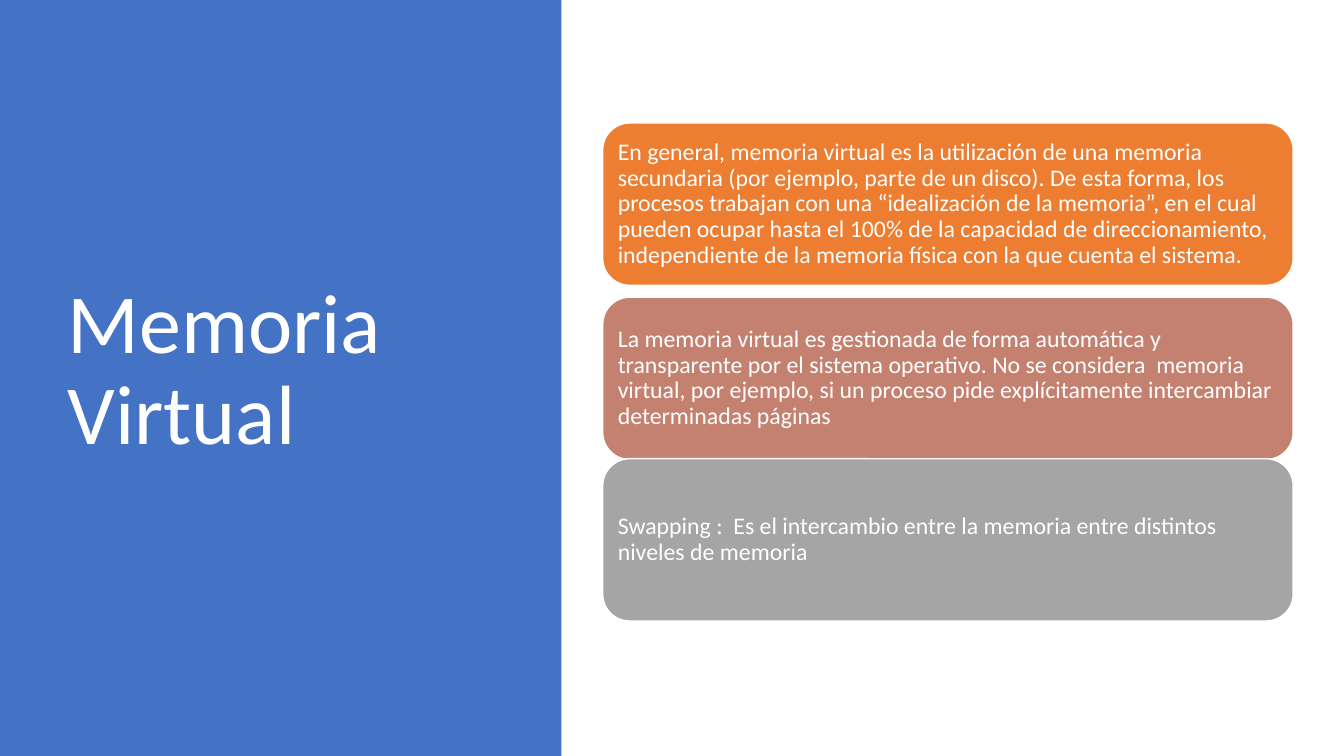
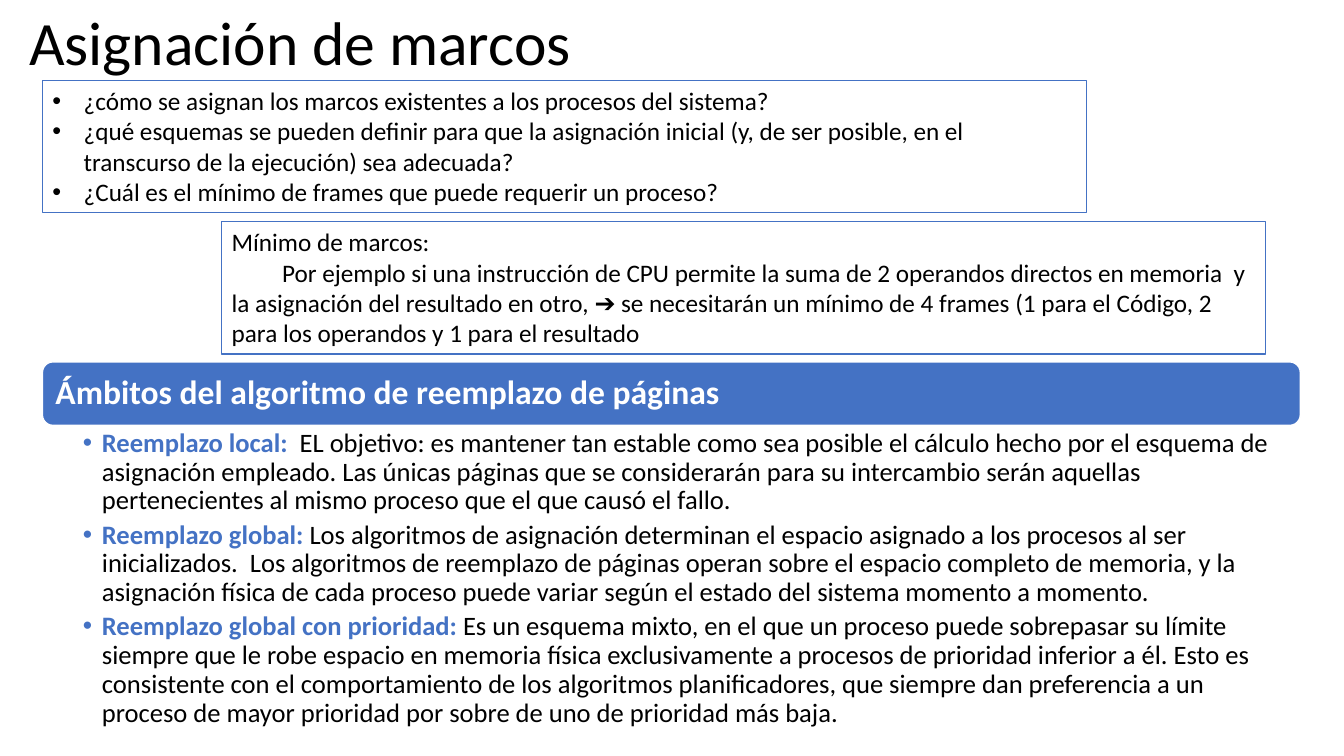
from dataclasses import dataclass
from typing import Optional

from lxml.etree import SubElement
from pptx import Presentation
from pptx.dml.color import RGBColor
from pptx.enum.shapes import MSO_SHAPE as Preset
from pptx.enum.text import MSO_ANCHOR as Anchor, MSO_AUTO_SIZE as AutoSize, PP_ALIGN as Align
from pptx.oxml.ns import qn
from pptx.util import Cm, Pt

BLUE = RGBColor(0x44, 0x72, 0xC4)
ORANGE = RGBColor(0xED, 0x7D, 0x31)
ROSE = RGBColor(0xC4, 0x81, 0x70)
GRAY = RGBColor(0xA5, 0xA5, 0xA5)
WHITE = RGBColor(0xFF, 0xFF, 0xFF)
BLACK = RGBColor(0, 0, 0)
FONT = "Calibri"
TITLE_ONLY = 5
WIDTH, HEIGHT = 33.87, 19.05
TIGHT = 0.9


@dataclass(frozen=True)
class Box:
    """Position and size in centimetres."""
    left: float
    top: float
    width: float
    height: float

    def lengths(self) -> tuple:
        """Return the four values as lengths."""
        return tuple(Cm(v) for v in (self.left, self.top, self.width, self.height))


@dataclass(frozen=True)
class Style:
    """Look of a run of text."""
    size: float
    color: RGBColor
    bold: bool = False


@dataclass(frozen=True)
class Card:
    """Coloured card with its top edge and text."""
    top: float
    fill: RGBColor
    text: str


@dataclass(frozen=True)
class Scope:
    """Replacement scope: its name and description."""
    name: str
    text: str


CARD_STYLE = Style(17, WHITE)
BOX_STYLE = Style(18, BLACK)
BANNER_STYLE = Style(24, WHITE, True)
SCOPE_NAME_STYLE = Style(19, BLUE, True)
SCOPE_TEXT_STYLE = Style(19, BLACK)

CARDS = (
    Card(3.1, ORANGE, "En general, memoria virtual es la utilización de una memoria secundaria (por ejemplo, parte de un disco). De esta forma, los procesos trabajan con una “idealización de la memoria”, en el cual pueden ocupar hasta el 100% de la capacidad de direccionamiento, independiente de la memoria física con la que cuenta el sistema."),
    Card(7.49, ROSE, "La memoria virtual es gestionada de forma automática y transparente por el sistema operativo. No se considera  memoria virtual, por ejemplo, si un proceso pide explícitamente intercambiar determinadas páginas"),
    Card(11.56, GRAY, "Swapping :  Es el intercambio entre la memoria entre distintos niveles de memoria"),
)
QUESTIONS = (
    "¿cómo se asignan los marcos existentes a los procesos del sistema?",
    "¿qué esquemas se pueden definir para que la asignación inicial (y, de ser posible, en el transcurso de la ejecución) sea adecuada?",
    "¿Cuál es el mínimo de frames que puede requerir un proceso?",
)
MINIMUM_HEAD = "Mínimo de marcos:"
MINIMUM_TEXT = "\tPor ejemplo si una instrucción de CPU permite la suma de 2 operandos directos en memoria  y la asignación del resultado en otro, ➔ se necesitarán un mínimo de 4 frames (1 para el Código, 2 para los operandos y 1 para el resultado"
SCOPES = (
    Scope("Reemplazo local:  ", "EL objetivo: es mantener tan estable como sea posible el cálculo hecho por el esquema de asignación empleado. Las únicas páginas que se considerarán para su intercambio serán aquellas pertenecientes al mismo proceso que el que causó el fallo."),
    Scope("Reemplazo global: ", "Los algoritmos de asignación determinan el espacio asignado a los procesos al ser inicializados.  Los algoritmos de reemplazo de páginas operan sobre el espacio completo de memoria, y la asignación física de cada proceso puede variar según el estado del sistema momento a momento."),
    Scope("Reemplazo global con prioridad: ", "Es un esquema mixto, en el que un proceso puede sobrepasar su límite siempre que le robe espacio en memoria física exclusivamente a procesos de prioridad inferior a él. Esto es consistente con el comportamiento de los algoritmos planificadores, que siempre dan preferencia a un proceso de mayor prioridad por sobre de uno de prioridad más baja."),
)


def add_run(p, text: str, style: Style) -> None:
    """Add one formatted run to a paragraph."""
    r = p.add_run()
    r.text = text
    r.font.name = FONT
    r.font.size = Pt(style.size)
    r.font.bold = style.bold
    r.font.color.rgb = style.color


def add_paragraph(tf, index: int, spacing: float = 1.0, after: float = 0):
    """Return the left-aligned paragraph at an index, adding it after the first."""
    p = tf.add_paragraph() if index else tf.paragraphs[0]
    p.alignment = Align.LEFT
    p.line_spacing = spacing
    p.space_after = Pt(after)
    return p


def add_bullet(p, indent: float) -> None:
    """Give a paragraph a hanging bullet."""
    pPr = p._p.get_or_add_pPr()
    pPr.set("marL", str(Cm(indent)))
    pPr.set("indent", str(-Cm(indent)))
    SubElement(pPr, qn("a:buFont"), typeface="Arial")
    SubElement(pPr, qn("a:buChar"), char="•")


def set_insets(tf, left: float, top: float, right: float, bottom: float) -> None:
    """Set the text margins in centimetres."""
    tf.margin_left, tf.margin_top = Cm(left), Cm(top)
    tf.margin_right, tf.margin_bottom = Cm(right), Cm(bottom)


def add_title(s, text: str, box: Box, style: Style):
    """Place and format the title placeholder."""
    title = s.shapes.title
    title.left, title.top, title.width, title.height = box.lengths()
    tf = title.text_frame
    tf.auto_size = AutoSize.NONE
    tf.vertical_anchor = Anchor.MIDDLE
    add_run(add_paragraph(tf, 0, TIGHT), text, style)
    return title


def add_panel(s, preset: Preset, box: Box, fill: RGBColor, line: Optional[RGBColor] = None):
    """Add a flat filled shape."""
    sp = s.shapes.add_shape(preset, *box.lengths())
    sp.shadow.inherit = False
    sp.fill.solid()
    sp.fill.fore_color.rgb = fill
    if line is None:
        sp.line.fill.background()
    else:
        sp.line.color.rgb = line
        sp.line.width = Pt(1)
    sp.text_frame.word_wrap = True
    return sp


def add_rounded(s, box: Box, fill: RGBColor, text: str, style: Style, inset: float) -> None:
    """Add a rounded shape with white edge and one paragraph."""
    tf = add_panel(s, Preset.ROUNDED_RECTANGLE, box, fill, WHITE).text_frame
    tf.vertical_anchor = Anchor.MIDDLE
    set_insets(tf, inset, inset, inset, inset)
    add_run(add_paragraph(tf, 0, TIGHT), text, style)


def add_outlined(s, left: float, top: float):
    """Add a white box with blue edge and return its text frame."""
    tf = add_panel(s, Preset.RECTANGLE, Box(left, top, 26.31, 3.33), WHITE, BLUE).text_frame
    tf.vertical_anchor = Anchor.TOP
    tf.auto_size = AutoSize.SHAPE_TO_FIT_TEXT
    return tf


def build_virtual_memory(prs) -> None:
    """Build the slide that defines virtual memory."""
    s = prs.slides.add_slide(prs.slide_layouts[TITLE_ONLY])
    title = add_title(s, "Memoria Virtual", Box(1.45, 1.73, 10.57, 15.29), Style(60, WHITE))
    side = add_panel(s, Preset.RECTANGLE, Box(0, 0, 14.15, HEIGHT), BLUE)
    title.element.addprevious(side.element)
    for card in CARDS:
        add_rounded(s, Box(15.19, card.top, 17.4, 4.09), card.fill, card.text, CARD_STYLE, 0.18)


def build_frame_allocation(prs) -> None:
    """Build the slide about frame allocation."""
    s = prs.slides.add_slide(prs.slide_layouts[TITLE_ONLY])
    add_title(s, "Asignación de marcos", Box(0.48, 0.18, 29.21, 1.96), Style(44, BLACK))

    tf = add_outlined(s, 1.07, 2.03)
    for i, question in enumerate(QUESTIONS):
        p = add_paragraph(tf, i)
        add_bullet(p, 0.79)
        add_run(p, question, BOX_STYLE)

    p = add_paragraph(add_outlined(s, 5.59, 5.59), 0)
    add_run(p, MINIMUM_HEAD, BOX_STYLE)
    p.add_line_break()
    add_run(p, MINIMUM_TEXT, BOX_STYLE)

    add_rounded(s, Box(1.07, 9.12, 31.7, 1.6), BLUE,
                "Ámbitos del algoritmo de reemplazo de páginas", BANNER_STYLE, 0.25)
    tf = s.shapes.add_textbox(*Box(1.07, 10.74, 31.7, 7.87).lengths()).text_frame
    tf.word_wrap = True
    set_insets(tf, 1.02, 0.08, 0.48, 0.08)
    for i, scope in enumerate(SCOPES):
        p = add_paragraph(tf, i, TIGHT, 4)
        add_bullet(p, 0.48)
        add_run(p, scope.name, SCOPE_NAME_STYLE)
        add_run(p, scope.text, SCOPE_TEXT_STYLE)


def main() -> None:
    """Build and save the presentation."""
    prs = Presentation()
    prs.slide_width, prs.slide_height = Cm(WIDTH), Cm(HEIGHT)
    build_virtual_memory(prs)
    build_frame_allocation(prs)
    prs.save("out.pptx")


if __name__ == "__main__":
    main()
